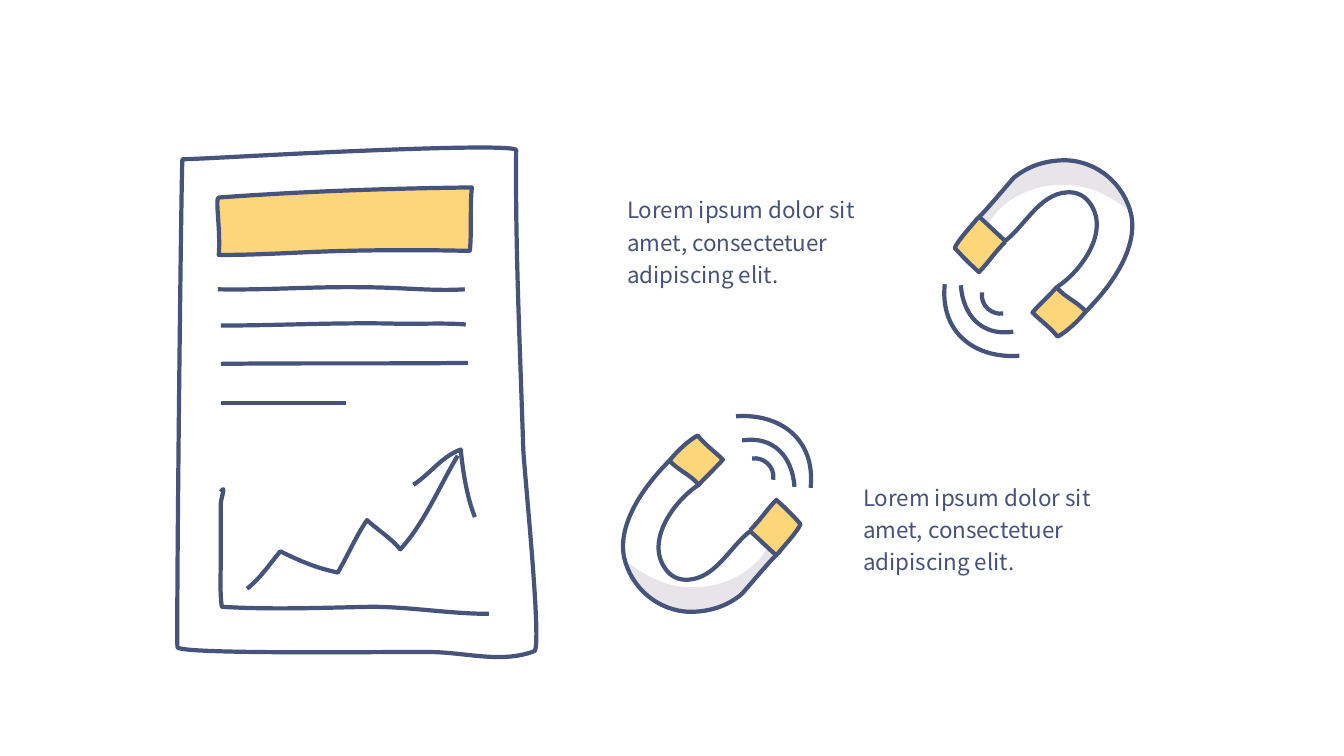
"""Build a slide with a sketched report, two magnets and their captions."""
from dataclasses import dataclass

from lxml import etree
from pptx import Presentation
from pptx.dml.color import RGBColor
from pptx.enum.shapes import MSO_CONNECTOR
from pptx.enum.text import MSO_ANCHOR, MSO_AUTO_SIZE
from pptx.oxml.ns import qn
from pptx.util import Pt

STRAIGHT = MSO_CONNECTOR.STRAIGHT
MIDDLE = MSO_ANCHOR.MIDDLE
GROW = MSO_AUTO_SIZE.SHAPE_TO_FIT_TEXT

PX = 9144
BLANK_LAYOUT = 6


@dataclass(frozen=True)
class Theme:
    ink: RGBColor = RGBColor.from_string("46537A")
    text: RGBColor = RGBColor.from_string("475278")
    yellow: RGBColor = RGBColor.from_string("FDD67A")
    shade: RGBColor = RGBColor.from_string("E7E4EA")
    font: str = "Noto Sans CJK JP"
    body_size: int = Pt(16)
    stroke: int = Pt(3)


THEME = Theme()

MAGNET_SHADE = [
    (676, 582), (657, 580), (640, 571), (624, 559), (621, 587), (662, 606), (684, 607),
    (703, 607), (720, 602), (735, 590), (742, 584), (747, 576), (753, 569),
    (762, 558), (771, 554), (762, 541), (752, 563), (729, 576), (706, 581),
    (695, 583), (686, 583), (676, 582),
]
MAGNET_TIPS = [
    [(664, 457), (672, 447), (683, 437), (692, 432), (699, 441), (709, 448), (717, 456),
     (710, 464), (700, 473), (693, 481)],
    [(744, 526), (755, 515), (761, 505), (770, 496), (779, 504), (787, 512), (794, 520),
     (790, 529), (777, 542), (771, 550)],
]
MAGNET_BODY = [
    (677, 575), (670, 574), (666, 571), (663, 568), (637, 540), (668, 497), (693, 481),
    (685, 471), (673, 467), (664, 457), (641, 480), (612, 518), (619, 553),
    (626, 583), (652, 606), (684, 607), (703, 607), (720, 602), (735, 590),
    (739, 586), (769, 550), (770, 551), (761, 543), (753, 535), (744, 527),
    (723, 543), (708, 578), (677, 575),
]
MAGNET_WAVES = [
    [(746, 455), (756, 453), (769, 462), (767, 476)],
    [(736, 437), (767, 432), (786, 453), (788, 483)],
    [(730, 413), (773, 410), (809, 435), (804, 484)],
]
MAGNET_PIVOT_SUM = (1741, 766)

PAGE = [
    (327, 151), (259, 154), (194, 158), (181, 158), (180, 158), (175, 603), (176, 642),
    (176, 650), (416, 646), (432, 647), (464, 648), (499, 658), (530, 646),
    (538, 643), (520, 468), (519, 445), (516, 348), (511, 247), (512, 149),
    (512, 144), (416, 147), (327, 151),
]
AXES = [
    (219, 488), (225, 479), (219, 495), (219, 500), (219, 519), (219, 537), (219, 556),
    (219, 571), (218, 587), (220, 602), (269, 605), (319, 603), (368, 602),
    (407, 602), (446, 609), (485, 609),
]
BANNER = [
    (217, 196), (300, 190), (383, 187), (468, 186), (466, 205), (468, 229), (466, 249),
    (426, 248), (382, 248), (341, 249), (298, 250), (262, 253), (217, 253),
    (219, 228), (213, 196), (217, 196),
]
TEXT_RULES = [
    [(216, 287), (265, 288), (312, 284), (362, 285), (397, 285), (429, 289), (461, 287)],
    [(219, 323), (276, 323), (329, 320), (387, 321), (412, 322), (439, 320), (462, 322)],
    [(219, 361), (298, 360), (386, 361), (464, 360)],
]
TREND = [
    (245, 584), (259, 573), (267, 560), (278, 547), (299, 557), (312, 563), (335, 568),
    (345, 551), (353, 532), (364, 516), (375, 526), (388, 534), (397, 545),
    (421, 519), (437, 480), (454, 452),
]
TREND_HEAD = [(410, 481), (427, 470), (438, 453), (457, 446), (459, 467), (463, 493), (471, 513)]

CAPTION = "Lorem ipsum dolor sit amet, consectetuer adipiscing elit."
CAPTION_CORNERS = [(618, 185), (852, 470)]


def set_values(target, values):
    for name, value in values.items():
        setattr(target, name, value)


def bend(shape):
    """Turn each three line segments of a freeform into one cubic curve."""
    segments = list(shape._element.iter(qn("a:lnTo")))
    for first in range(0, len(segments), 3):
        curve = etree.Element(qn("a:cubicBezTo"))
        segments[first].addprevious(curve)
        for segment in segments[first:first + 3]:
            curve.append(segment[0])
            segment.getparent().remove(segment)


class Sketch:
    """Draw hand-drawn elements on one slide in a shared style."""

    def __init__(self, slide, theme):
        self.slide = slide
        self.theme = theme

    def ink(self, line):
        line.color.rgb = self.theme.ink
        line.width = self.theme.stroke

    def curve(self, path, fill=None, outlined=True):
        builder = self.slide.shapes.build_freeform(*path[0], scale=PX)
        builder.add_line_segments(path[1:], close=path[0] == path[-1])
        shape = builder.convert_to_shape()
        bend(shape)
        shape.shadow.inherit = False
        if fill is None:
            shape.fill.background()
        else:
            shape.fill.solid()
            shape.fill.fore_color.rgb = fill
        if outlined:
            self.ink(shape.line)
        else:
            shape.line.fill.background()
        return shape

    def rule(self, left, right, y):
        connector = self.slide.shapes.add_connector(
            STRAIGHT, left * PX, y * PX, right * PX, y * PX)
        self.ink(connector.line)
        etree.SubElement(connector._element.spPr, qn("a:effectLst"))

    def group(self, shapes):
        self.slide.shapes.add_group_shape(shapes)

    def magnet(self, turned=False):
        def place(path):
            if not turned:
                return path
            return [(MAGNET_PIVOT_SUM[0] - x, MAGNET_PIVOT_SUM[1] - y) for x, y in path]

        shapes = [self.curve(place(MAGNET_SHADE), self.theme.shade, outlined=False)]
        shapes += [self.curve(place(tip), self.theme.yellow) for tip in MAGNET_TIPS]
        shapes += [self.curve(place(path)) for path in [MAGNET_BODY, *MAGNET_WAVES]]
        self.group(shapes)

    def caption(self, left, top, text):
        box = self.slide.shapes.add_textbox(left * PX, top * PX, 273 * PX, 105 * PX)
        frame = box.text_frame
        margins = {f"margin_{side}": 4 * PX for side in ("left", "top", "right", "bottom")}
        set_values(frame, {"word_wrap": True, "auto_size": GROW,
                           "vertical_anchor": MIDDLE, **margins})
        paragraph = frame.paragraphs[0]
        paragraph.line_spacing = 1.2
        run = paragraph.add_run()
        run.text = text
        set_values(run.font, {"name": self.theme.font, "size": self.theme.body_size})
        run.font.color.rgb = self.theme.text

    def report(self):
        self.curve(PAGE)
        self.curve(AXES)
        self.curve(BANNER, self.theme.yellow)
        for path in TEXT_RULES:
            self.curve(path)
        self.rule(219, 343, 400)
        self.group([self.curve(path) for path in (TREND, TREND_HEAD)])


def main():
    presentation = Presentation()
    set_values(presentation, {"slide_width": 1333 * PX, "slide_height": 750 * PX})
    slide = presentation.slides.add_slide(presentation.slide_layouts[BLANK_LAYOUT])
    sketch = Sketch(slide, THEME)
    sketch.magnet()
    sketch.magnet(turned=True)
    for left, top in CAPTION_CORNERS:
        sketch.caption(left, top, CAPTION)
    sketch.report()
    presentation.save("out.pptx")


if __name__ == "__main__":
    main()
